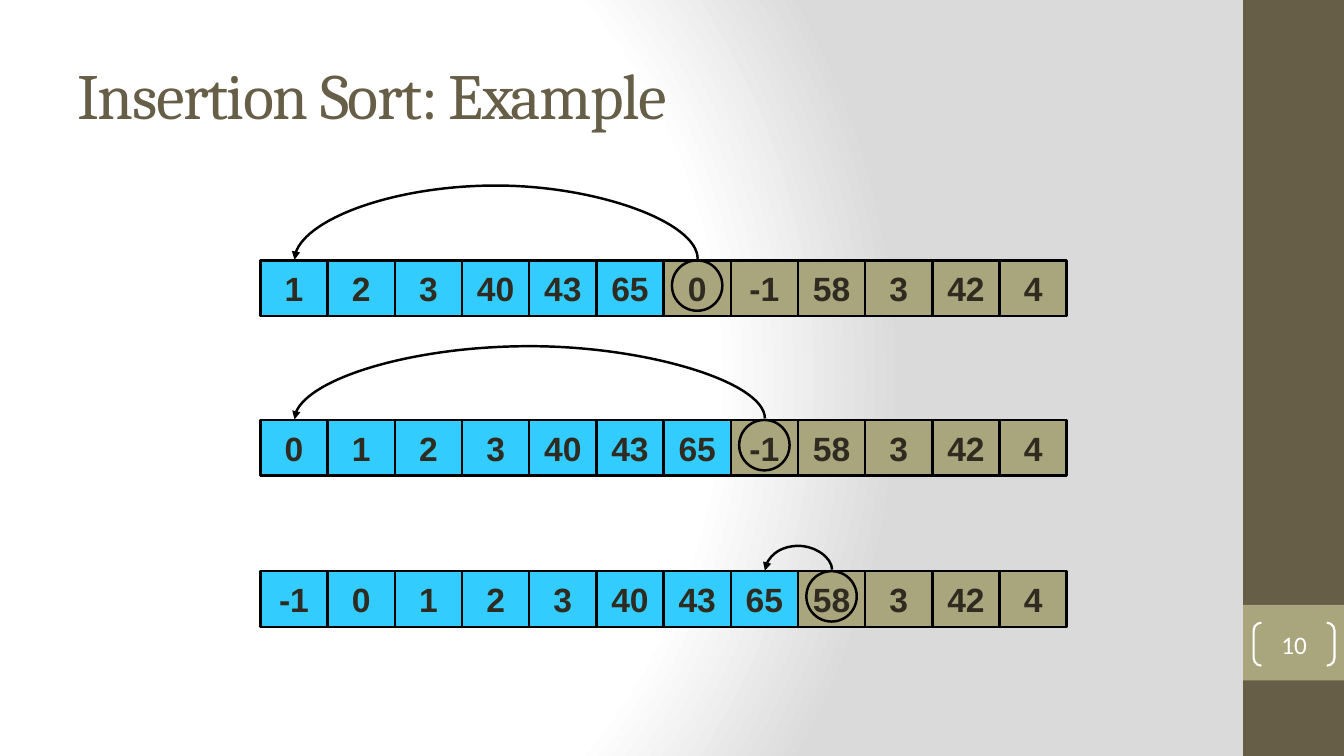
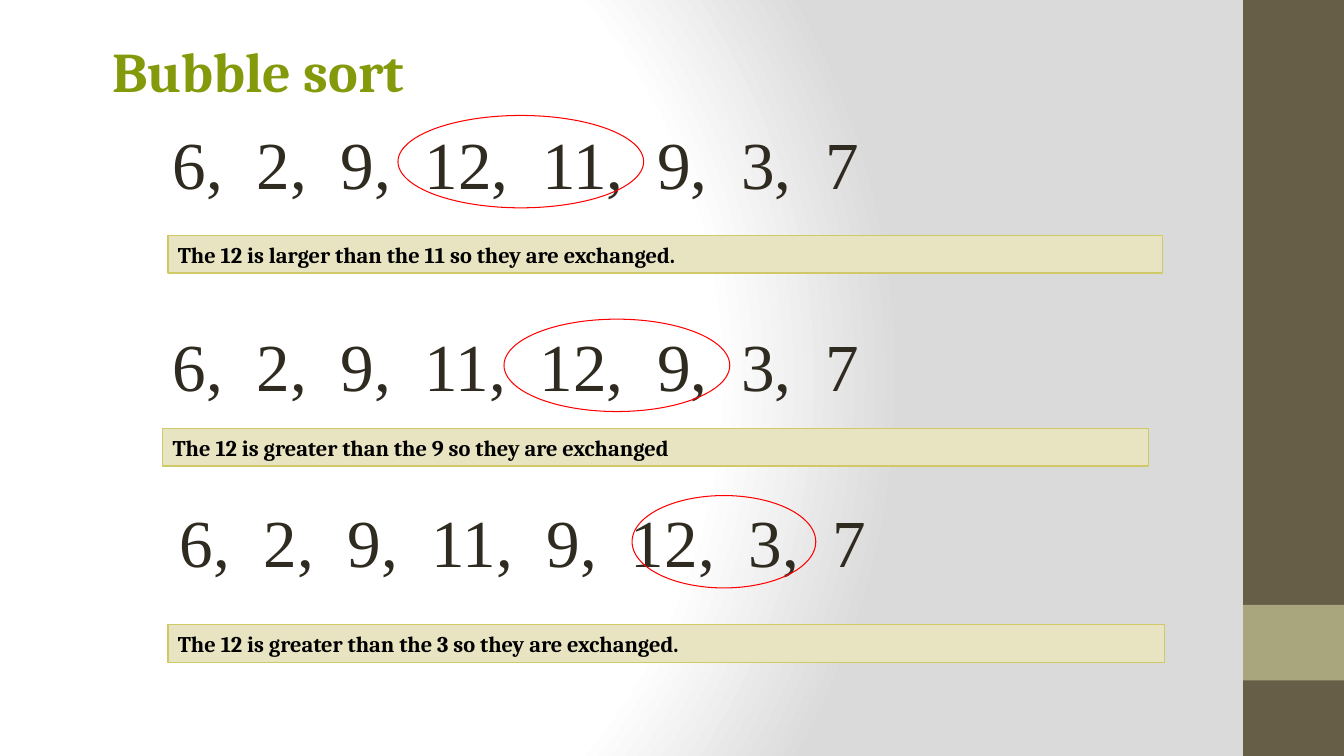
import pptx
import pptx.util
import pptx.oxml
import pptx.oxml.ns
import pptx.dml.color
import pptx.enum.shapes
import pptx.enum.text
from lxml import etree

COLORS = {
    "band": "675E47", "tan": "A9A57C", "sorted": "33CCFF", "text": "2F2B20",
    "black": "000000", "white": "FFFFFF", "gray": "DADADA", "red": "FF0000",
    "green": "849A0A", "banner": "E8E4C1", "banner_line": "D0C967",
}
SHAPES = pptx.enum.shapes.MSO_SHAPE
ALIGN = pptx.enum.text.PP_ALIGN
ANCHOR = pptx.enum.text.MSO_ANCHOR
qn = pptx.oxml.ns.qn

# Shared bands: box, colour
BANDS = [((1184, 0, 96, 720), "band"), ((1184, 576, 96, 72), "tan")]

# Insertion sort: top, values, index of the value being moved, its target, arc height
CELL_LEFT, CELL_WIDTH, CELL_HEIGHT, RING = 248, 64, 53, 48
INSERTION_ROWS = [
    (248, [1, 2, 3, 40, 43, 65, 0, -1, 58, 3, 42, 4], 6, 0, 71),
    (400, [0, 1, 2, 3, 40, 43, 65, -1, 58, 3, 42, 4], 7, 0, 70),
    (544, [-1, 0, 1, 2, 3, 40, 43, 65, 58, 3, 42, 4], 8, 7, 23),
]

# Bubble sort: values and box, ring box, explanation and box
BUBBLE_ROWS = [
    ([6, 2, 9, 12, 11, 9, 3, 7], (155, 112, 939, 86), (379, 110, 234, 88),
     "The 12 is larger than the 11 so they are exchanged.", (160, 224, 947, 36)),
    ([6, 2, 9, 11, 12, 9, 3, 7], (155, 304, 939, 86), (480, 304, 215, 88),
     "The 12 is greater than the 9 so they are exchanged", (155, 408, 939, 36)),
    ([6, 2, 9, 11, 9, 12, 3, 7], (162, 472, 939, 86), (602, 472, 175, 88),
     "The 12 is greater than the 3 so they are exchanged.", (160, 595, 949, 36)),
]


def px(length):
    return pptx.util.Emu(round(length * 9525))


def rgb(name):
    return pptx.dml.color.RGBColor.from_string(COLORS[name])


def add_run(paragraph, text, size, font, color, bold=False, spacing=0):
    run = paragraph.add_run()
    run.text = text
    run.font.size = pptx.util.Pt(size)
    run.font.name = font
    run.font.bold = bold
    run.font.color.rgb = rgb(color)
    if spacing:
        run.font._element.set("spc", str(spacing * 100))


def add_shape(slide, kind, box, fill=None, line=None, width=1.0):
    shape = slide.shapes.add_shape(kind, *map(px, box))
    shape.shadow.inherit = False
    if fill:
        shape.fill.solid()
        shape.fill.fore_color.rgb = rgb(fill)
    else:
        shape.fill.background()
    if line:
        shape.line.color.rgb = rgb(line)
        shape.line.width = pptx.util.Pt(width)
    else:
        shape.line.fill.background()
    return shape


def set_frame(frame, anchor=ANCHOR.MIDDLE, align=ALIGN.LEFT, wrap=True, inset=True):
    frame.word_wrap = wrap
    frame.auto_size = pptx.enum.text.MSO_AUTO_SIZE.NONE
    frame.vertical_anchor = anchor
    if not inset:
        frame.margin_left = frame.margin_top = 0
        frame.margin_right = frame.margin_bottom = 0
    paragraph = frame.paragraphs[0]
    paragraph.alignment = align
    return paragraph


def add_title(slide, text, box, size, color, bold=False, spacing=0, inset=True):
    title = slide.shapes.title
    title.left, title.top, title.width, title.height = map(px, box)
    paragraph = set_frame(title.text_frame, inset=inset)
    add_run(paragraph, text, size, "Cambria", color, bold, spacing)
    return paragraph


def style_layout(layout, slide):
    """Give the layout its background and its side bands."""
    for placeholder in list(layout.placeholders):
        if placeholder.placeholder_format.idx != 0:
            placeholder.element.getparent().remove(placeholder.element)
    stops = "".join(
        f'<a:gs pos="{position}"><a:srgbClr val="{COLORS[name]}"/></a:gs>'
        for position, name in ((0, "white"), (75000, "white"), (100000, "gray")))
    background = pptx.oxml.parse_xml(
        f'<p:bg {pptx.oxml.ns.nsdecls("p", "a")}><p:bgPr><a:gradFill rotWithShape="1">'
        f'<a:gsLst>{stops}</a:gsLst><a:path path="circle">'
        '<a:fillToRect l="20000" t="50000" r="100000" b="50000"/></a:path>'
        '</a:gradFill><a:effectLst/></p:bgPr></p:bg>')
    layout.element.find(qn("p:cSld")).insert(0, background)
    for box, color in BANDS:
        band = add_shape(slide, SHAPES.RECTANGLE, box, color)
        layout.shapes.element.append(band.element)


def add_arc(slide, ring, target, height):
    """Curved arrow from the top of the ring to the top of the target cell."""
    connector = slide.shapes.add_connector(
        pptx.enum.shapes.MSO_CONNECTOR.CURVE, 0, 0, 0, 0)
    connector.begin_connect(ring, 0)
    connector.end_connect(target, 0)
    start = ring.left + ring.width // 2
    end = target.left + target.width // 2
    length = start - end
    connector.left = (start + end) // 2
    connector.top = target.top - px(1) - length // 2
    connector.width, connector.height = px(1), length
    connector.line.color.rgb = rgb("black")
    connector.line.width = pptx.util.Pt(1.75)
    # Turn the curve upwards; its bend is a multiple of the 1 px width
    properties = connector.element.spPr
    transform = properties.find(qn("a:xfrm"))
    for name, value in (("rot", "16200000"), ("flipH", "1"), ("flipV", "1")):
        transform.set(name, value)
    geometry = properties.find(qn("a:prstGeom"))
    adjustments = geometry.find(qn("a:avLst"))
    if adjustments is None:
        adjustments = etree.SubElement(geometry, qn("a:avLst"))
    etree.SubElement(adjustments, qn("a:gd"), name="adj1", fmla=f"val {-height * 100000}")
    etree.SubElement(properties.find(qn("a:ln")), qn("a:tailEnd"), type="triangle")
    etree.SubElement(properties, qn("a:effectLst"))


def build_insertion_slide(slide):
    add_title(slide, "Insertion Sort: Example", (64, 29, 1067, 120), 46, "band", spacing=-1)
    for top, values, moved, target, height in INSERTION_ROWS:
        cells = []
        for index, value in enumerate(values):
            left = CELL_LEFT + index * CELL_WIDTH
            cell = add_shape(slide, SHAPES.RECTANGLE, (left, top, CELL_WIDTH, CELL_HEIGHT),
                             "sorted" if index < moved else "tan", "black", 1.75)
            paragraph = set_frame(cell.text_frame, align=ALIGN.CENTER, wrap=False)
            add_run(paragraph, str(value), 24, "Arial", "text", True)
            cells.append(cell)
        ring_left = CELL_LEFT + moved * CELL_WIDTH + (CELL_WIDTH - RING) // 2
        ring = add_shape(slide, SHAPES.OVAL, (ring_left, top, RING, RING), None, "black", 1.75)
        add_arc(slide, ring, cells[target], height)

    # Slide number in brackets
    badge = add_shape(slide, SHAPES.DOUBLE_BRACKET, (1194, 593, 77, 41), None, "white", 1.5)
    badge.adjustments[0] = 0.18
    paragraph = set_frame(badge.text_frame, align=ALIGN.CENTER, inset=False)
    add_run(paragraph, "10", 18, "Calibri", "white")


def build_bubble_slide(slide):
    title = add_title(slide, "Bubble sort", (107, 24, 1079, 92), 40, "green", True, inset=False)
    title.line_spacing = 0.93
    for values, values_box, ring_box, note, note_box in BUBBLE_ROWS:
        numbers = slide.shapes.add_textbox(*map(px, values_box))
        paragraph = set_frame(numbers.text_frame, ANCHOR.BOTTOM)
        for value in values[:-1]:
            add_run(paragraph, f"{value},", 48, "Times New Roman", "text")
            add_run(paragraph, " ", 48, "Times New Roman", "text", spacing=12)
        add_run(paragraph, str(values[-1]), 48, "Times New Roman", "text")
        add_shape(slide, SHAPES.OVAL, ring_box, None, "red", 0.75)
        banner = add_shape(slide, SHAPES.RECTANGLE, note_box, "banner", "banner_line", 1)
        paragraph = set_frame(banner.text_frame)
        add_run(paragraph, note, 16, "Cambria", "black", True)


def main():
    presentation = pptx.Presentation()
    presentation.slide_width, presentation.slide_height = px(1280), px(720)
    layout = presentation.slide_layouts[5]
    insertion, bubble = [presentation.slides.add_slide(layout) for _ in range(2)]
    style_layout(layout, insertion)
    build_insertion_slide(insertion)
    build_bubble_slide(bubble)
    presentation.save("out.pptx")


if __name__ == "__main__":
    main()
